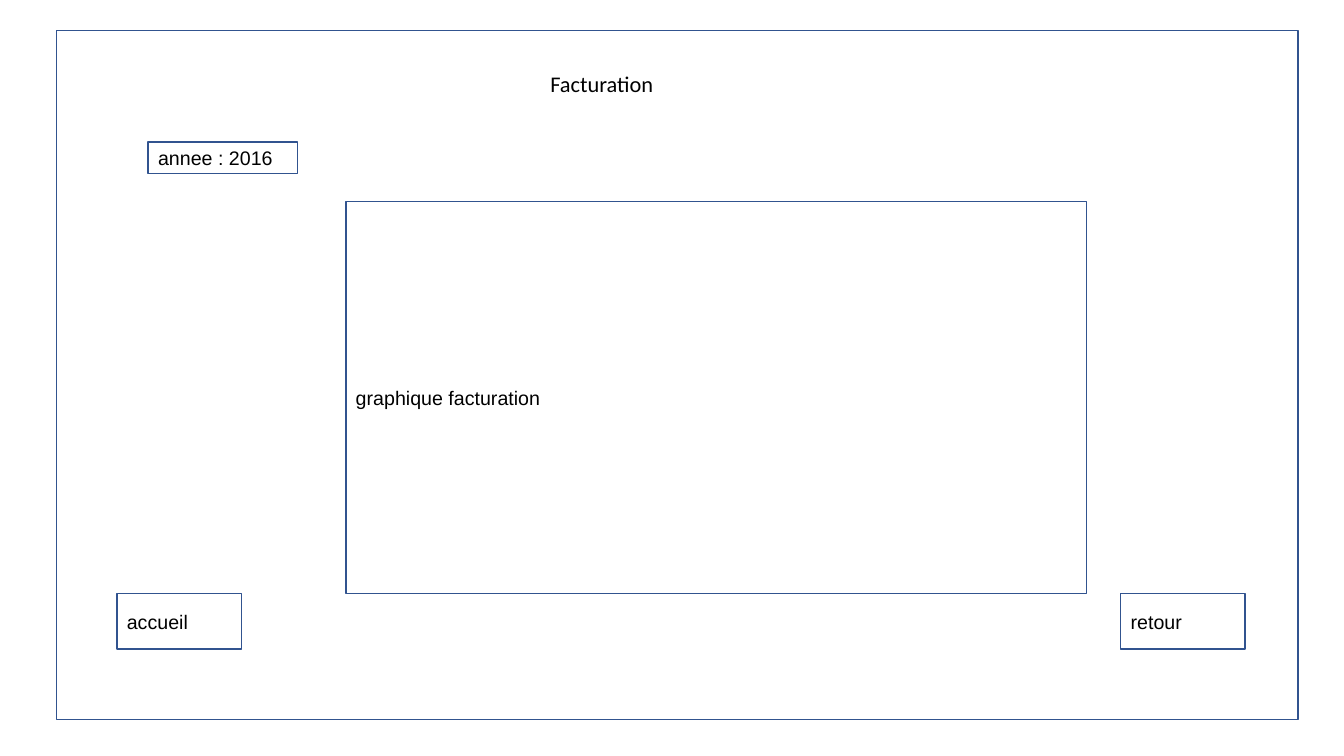
from dataclasses import dataclass

import pptx
import pptx.dml.color
import pptx.enum.shapes
import pptx.enum.text
import pptx.presentation
import pptx.shapes.autoshape
import pptx.slide
import pptx.text.text
import pptx.util

Pt = pptx.util.Pt
BLACK = pptx.dml.color.RGBColor(0x00, 0x00, 0x00)
BLUE = pptx.dml.color.RGBColor(0x31, 0x53, 0x8F)
ANCHOR = pptx.enum.text.MSO_ANCHOR
LEFT = pptx.enum.text.PP_ALIGN.LEFT

TITLE_FRAME = {
    "margin_left": Pt(7.2), "margin_right": Pt(7.2),
    "margin_top": Pt(3.6), "margin_bottom": Pt(3.6),
    "vertical_anchor": ANCHOR.TOP, "word_wrap": True,
    "auto_size": pptx.enum.text.MSO_AUTO_SIZE.NONE,
}
BOX_FRAME = TITLE_FRAME | {
    "margin_top": Pt(7.2), "margin_bottom": Pt(7.2),
    "vertical_anchor": ANCHOR.MIDDLE,
}
TITLE_FONT = {"name": "Calibri", "size": Pt(16), "bold": False}
BOX_FONT = {"name": "Arial", "size": Pt(14), "bold": False}


@dataclass(frozen=True)
class Box:
    left: float
    top: float
    width: float
    height: float
    text: str = ""


CHART_TOP, CHART_HEIGHT = 144, 280.1
BUTTON_TOP = CHART_TOP + CHART_HEIGHT
BUTTON_WIDTH, BUTTON_HEIGHT = 88.9, 39.6

TITLE = Box(385.9, 46.8, 189.4, 26.6, "Facturation")
BOXES = [
    Box(40.3, 21.6, 887, 492.5),
    Box(105.8, 101.5, 106.6, 22.3, "annee : 2016"),
    Box(83.5, BUTTON_TOP, BUTTON_WIDTH, BUTTON_HEIGHT, "accueil"),
    Box(800.6, BUTTON_TOP, BUTTON_WIDTH, BUTTON_HEIGHT, "retour"),
    Box(247, CHART_TOP, 529.2, CHART_HEIGHT, "graphique facturation"),
]


def apply(target: object, values: dict) -> None:
    for name, value in values.items():
        setattr(target, name, value)


def write(tf: pptx.text.text.TextFrame, text: str, frame: dict, font: dict) -> None:
    apply(tf, frame)
    p = tf.paragraphs[0]
    p.alignment = LEFT
    r = p.add_run()
    r.text = text
    apply(r.font, font)
    r.font.color.rgb = BLACK


def add_title(s: pptx.slide.Slide, title: Box) -> None:
    sp = s.shapes.title
    apply(sp, {k: Pt(getattr(title, k)) for k in ("left", "top", "width", "height")})
    write(sp.text_frame, title.text, TITLE_FRAME, TITLE_FONT)


def add_box(s: pptx.slide.Slide, box: Box) -> pptx.shapes.autoshape.Shape:
    sp = s.shapes.add_shape(
        pptx.enum.shapes.MSO_SHAPE.RECTANGLE,
        Pt(box.left), Pt(box.top), Pt(box.width), Pt(box.height),
    )
    sp.shadow.inherit = False
    sp.fill.background()
    sp.line.color.rgb = BLUE
    sp.line.width = Pt(1)
    if box.text:
        write(sp.text_frame, box.text, BOX_FRAME, BOX_FONT)
    return sp


def main() -> None:
    prs = pptx.Presentation()
    prs.slide_width, prs.slide_height = Pt(960), Pt(540)
    s = prs.slides.add_slide(prs.slide_layouts.get_by_name("Title Only"))
    add_title(s, TITLE)
    for box in BOXES:
        add_box(s, box)
    prs.save("out.pptx")


if __name__ == "__main__":
    main()
